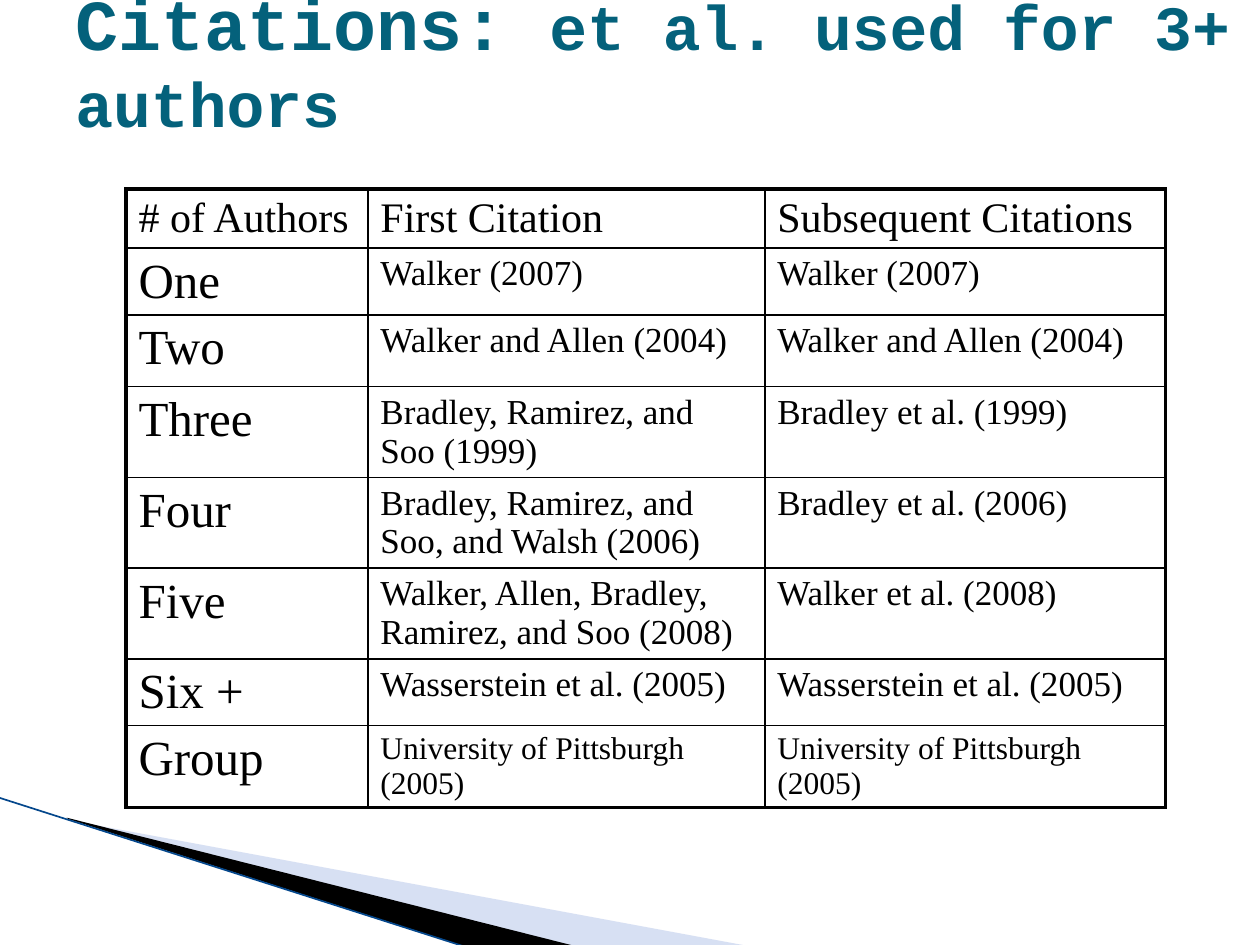
import pptx
import pptx.util
import pptx.dml.color
import pptx.enum.text
import pptx.enum.shapes
import pptx.oxml
import pptx.oxml.ns
from dataclasses import dataclass
from pptx.util import Inches


@dataclass(frozen=True)
class Theme:
    title_color: str = "04617B"
    ink: str = "000000"
    pale: str = "9DB2E1"
    edge: str = "04478C"
    title_font: str = "Courier New"
    body_font: str = "Times New Roman"
    title_size: float = 41
    subtitle_size: float = 36
    header_size: float = 24
    label_size: float = 28
    cell_size: float = 20
    small_size: float = 18
    outer_line: float = 2.25
    inner_line: float = 1


def rgb(color):
    return pptx.dml.color.RGBColor.from_string(color)


def add_text(p, text, *, font, size, color, bold=False):
    r = p.add_run()
    r.text = text
    r.font.name = font
    r.font.size = pptx.util.Pt(size)
    r.font.bold = bold
    r.font.color.rgb = rgb(color)


class SlideBuilder:
    def __init__(self, slide, theme):
        self.s = slide
        self.theme = theme

    def polygon(self, points, color, alpha=None):
        (x, y), *rest = [(Inches(px), Inches(py)) for px, py in points]
        fb = self.s.shapes.build_freeform(x, y)
        fb.add_line_segments(rest, close=True)
        sp = fb.convert_to_shape()
        sp.shadow.inherit = False
        sp.fill.solid()
        sp.fill.fore_color.rgb = rgb(color)
        sp.line.fill.background()
        if alpha is not None:
            clr = sp.fill._xPr.find(".//" + pptx.oxml.ns.qn("a:srgbClr"))
            clr.append(pptx.oxml.parse_xml(
                f'<a:alpha {pptx.oxml.ns.nsdecls("a")} val="{alpha * 1000}"/>'))

    def line(self, start, end, color, width):
        sp = self.s.shapes.add_connector(
            pptx.enum.shapes.MSO_CONNECTOR.STRAIGHT,
            *(Inches(v) for v in start + end))
        sp.line.color.rgb = rgb(color)
        sp.line.width = pptx.util.Pt(width)
        sp._element.spPr.append(pptx.oxml.parse_xml(
            f'<a:effectLst {pptx.oxml.ns.nsdecls("a")}/>'))

    def title(self, box, parts):
        sp = self.s.shapes.add_textbox(*(Inches(v) for v in box))
        tf = sp.text_frame
        tf.word_wrap = True
        tf.vertical_anchor = pptx.enum.text.MSO_ANCHOR.MIDDLE
        tf.margin_bottom = Inches(0.2)
        for text, size in parts:
            add_text(tf.paragraphs[0], text, font=self.theme.title_font,
                     size=size, color=self.theme.title_color, bold=True)

    def borders(self, cell, widths):
        tc_pr = cell._tc.get_or_add_tcPr()
        for side, width in zip("LRTB", widths):
            tc_pr.append(pptx.oxml.parse_xml(
                f'<a:ln{side} {pptx.oxml.ns.nsdecls("a")} '
                f'w="{pptx.util.Pt(width)}"><a:solidFill>'
                f'<a:srgbClr val="{self.theme.ink}"/></a:solidFill></a:ln{side}>'))

    def table(self, left, top, cols, heights, rows, size_at):
        t = self.theme
        table = self.s.shapes.add_table(
            len(rows), len(cols), Inches(left), Inches(top),
            Inches(sum(cols)), Inches(sum(heights))).table
        table.first_row = table.horz_banding = False
        for col, width in zip(table.columns, cols):
            col.width = Inches(width)
        for i, (row, height) in enumerate(zip(rows, heights)):
            table.rows[i].height = Inches(height)
            for j, text in enumerate(row):
                cell = table.cell(i, j)
                outer = (j == 0, j == len(cols) - 1, i == 0, i == len(rows) - 1)
                self.borders(cell, [t.outer_line if o else t.inner_line
                                    for o in outer])
                cell.fill.background()
                cell.margin_bottom = 0
                add_text(cell.text_frame.paragraphs[0], text, font=t.body_font,
                         size=size_at(i, j), color=t.ink)


CITATIONS = [
    ("# of Authors", "First Citation", "Subsequent Citations"),
    ("One", "Walker (2007)", "Walker (2007)"),
    ("Two", "Walker and Allen (2004)", "Walker and Allen (2004)"),
    ("Three", "Bradley, Ramirez, and Soo (1999)", "Bradley et al. (1999)"),
    ("Four", "Bradley, Ramirez, and Soo, and Walsh (2006)",
     "Bradley et al. (2006)"),
    ("Five", "Walker, Allen, Bradley, Ramirez, and Soo (2008)",
     "Walker et al. (2008)"),
    ("Six +", "Wasserstein et al. (2005)", "Wasserstein et al. (2005)"),
    ("Group", "University of Pittsburgh (2005)",
     "University of Pittsburgh (2005)"),
]


def main():
    theme = Theme()
    prs = pptx.Presentation()
    prs.slide_width, prs.slide_height = Inches(10), Inches(7.5)
    b = SlideBuilder(prs.slides.add_slide(prs.slide_layouts[6]), theme)

    # Corner decoration
    b.polygon([(0.55, 6.51), (5.95, 7.51), (4.56, 7.51), (0.55, 6.5)],
              theme.pale, alpha=40)
    b.polygon([(0.53, 6.49), (4.57, 7.51), (3.72, 7.52), (0.54, 6.5)],
              theme.ink)
    b.line((-0.01, 6.33), (3.71, 7.52), theme.edge, 0.95)

    # Title
    b.title((0.5, -0.08, 9.5, 1.25), [
        ("Citations: ", theme.title_size),
        ("et al. used for 3+ authors", theme.subtitle_size)])

    # Citation table
    def size_at(i, j):
        if i == 0:
            return theme.header_size
        if j == 0:
            return theme.label_size
        return theme.small_size if i == len(CITATIONS) - 1 else theme.cell_size

    b.table(1, 1.5, [1.92, 3.15, 3.18],
            [0.47, 0.53, 0.57, 0.72, 0.72, 0.72, 0.53, 0.65],
            CITATIONS, size_at)

    prs.save("out.pptx")


if __name__ == "__main__":
    main()
